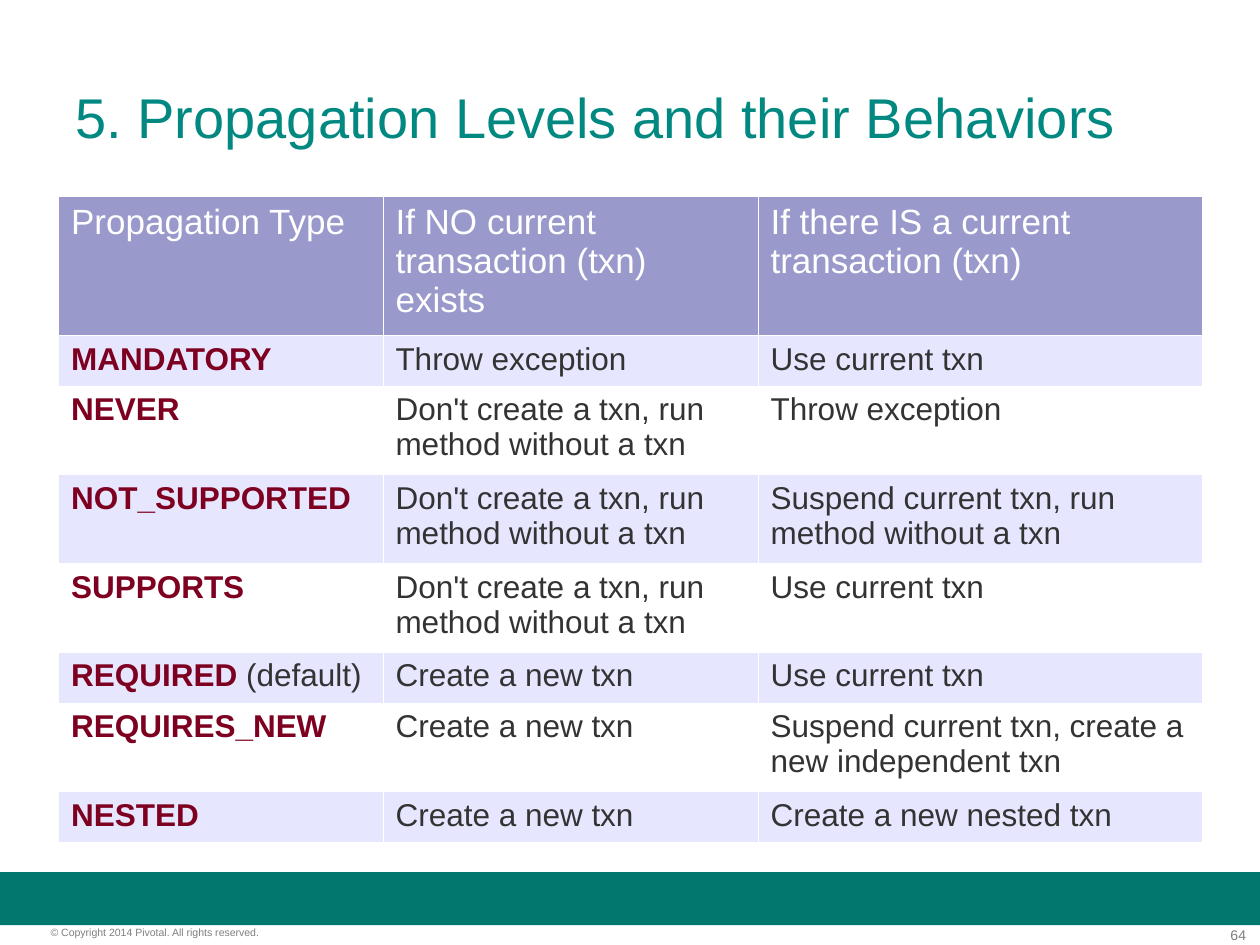
from lxml.etree import SubElement
from pptx import Presentation
from pptx.dml.color import RGBColor
from pptx.enum.shapes import MSO_SHAPE as Shape
from pptx.enum.text import MSO_ANCHOR as Anchor, PP_ALIGN as Align
from pptx.oxml.ns import qn
from pptx.util import Cm, Pt

TEAL_BAR, TEAL_TITLE, GREY = "00786E", "008881", "7F7F7F"
HEADER_FILL, BAND_FILL, WHITE = "9999CC", "E6E6FF", "FFFFFF"
HEADER_FORMAT = dict(size=Pt(20), bold=False, color=WHITE)
TYPE_FORMAT = dict(size=Pt(18), bold=True, color="7E0021")
BODY_FORMAT = dict(size=Pt(18), bold=False, color="333333")

NO_TXN = "Don't create a txn, run method without a txn"
NEW_TXN = "Create a new txn"
CURRENT_TXN = "Use current txn"
EXCEPTION = "Throw exception"
HEADINGS = ("Propagation Type", "If NO current transaction (txn) exists",
            "If there IS a current transaction (txn)")
# type, remark after the type, behavior without a txn, behavior with a txn
LEVELS = [
    ("MANDATORY", "", EXCEPTION, CURRENT_TXN),
    ("NEVER", "", NO_TXN, EXCEPTION),
    ("NOT_SUPPORTED", "", NO_TXN, "Suspend current txn, run method without a txn"),
    ("SUPPORTS", "", NO_TXN, CURRENT_TXN),
    ("REQUIRED", " (default)", NEW_TXN, CURRENT_TXN),
    ("REQUIRES_NEW", "", NEW_TXN, "Suspend current txn, create a new independent txn"),
    ("NESTED", "", NEW_TXN, "Create a new nested txn"),
]
COLUMN_WIDTHS = (6.54, 7.56, 8.96)
HEADER_HEIGHT, ONE_LINE, TWO_LINES = 2.79, 1.02, 1.79
WRAP_LENGTH = 30  # longer texts take two lines


def rgb(value):
    return RGBColor.from_string(value)


def add_run(paragraph, text, color, **font_format):
    run = paragraph.add_run()
    run.text = text
    for attribute, value in dict(font_format, name="Arial").items():
        setattr(run.font, attribute, value)
    run.font.color.rgb = rgb(color)


def set_frame(frame, margins, anchor):
    left_right, top_bottom = margins
    settings = dict(margin_left=left_right, margin_right=left_right,
                    margin_top=top_bottom, margin_bottom=top_bottom,
                    word_wrap=True, vertical_anchor=anchor)
    for attribute, value in settings.items():
        setattr(frame, attribute, value)


def place_title(slide, text, left, top, width, height):
    title = slide.shapes.title
    title.left, title.top, title.width, title.height = map(Cm, (left, top, width, height))
    set_frame(title.text_frame, (Cm(0.25), Cm(0.13)), Anchor.MIDDLE)
    paragraph = title.text_frame.paragraphs[0]
    paragraph.alignment = Align.LEFT
    add_run(paragraph, text, TEAL_TITLE, size=Pt(32))


def add_borders(cell):
    properties = cell._tc.get_or_add_tcPr()
    for side in ("a:lnL", "a:lnR", "a:lnT", "a:lnB"):
        line = SubElement(properties, qn(side), w=str(Pt(0.06)))
        fill = SubElement(line, qn("a:solidFill"))
        SubElement(fill, qn("a:srgbClr"), val=WHITE)


def fill_cell(cell, runs, fill):
    add_borders(cell)
    cell.fill.solid()
    cell.fill.fore_color.rgb = rgb(fill)
    for text, font_format in runs:
        add_run(cell.text_frame.paragraphs[0], text, **font_format)


def add_levels_table(slide, left, top):
    heights = [HEADER_HEIGHT] + [
        TWO_LINES if max(map(len, level[2:])) > WRAP_LENGTH else ONE_LINE
        for level in LEVELS]
    table = slide.shapes.add_table(
        len(heights), len(COLUMN_WIDTHS), Cm(left), Cm(top),
        Cm(sum(COLUMN_WIDTHS)), Cm(sum(heights))).table
    for column, width in zip(table.columns, COLUMN_WIDTHS):
        column.width = Cm(width)
    for row, height in zip(table.rows, heights):
        row.height = Cm(height)

    for column, heading in enumerate(HEADINGS):
        fill_cell(table.cell(0, column), [(heading, HEADER_FORMAT)], HEADER_FILL)
    for row, (level, remark, *behaviors) in enumerate(LEVELS, start=1):
        fill = BAND_FILL if row % 2 else WHITE
        type_runs = [(level, TYPE_FORMAT)]
        if remark:
            type_runs.append((remark, BODY_FORMAT))
        fill_cell(table.cell(row, 0), type_runs, fill)
        for column, behavior in enumerate(behaviors, start=1):
            fill_cell(table.cell(row, column), [(behavior, BODY_FORMAT)], fill)


def add_footer(slide, top, width):
    bar_height = 1.07
    bar = slide.shapes.add_shape(Shape.RECTANGLE, 0, Cm(top), Cm(width), Cm(bar_height))
    bar.shadow.inherit = False
    bar.fill.solid()
    bar.fill.fore_color.rgb = rgb(TEAL_BAR)
    bar.line.fill.background()
    notes = [
        ("© Copyright 2014 Pivotal. All rights reserved.", 1.02, 6.32, 0.25, 6, Align.LEFT),
        ("64", width - 1.75, 1.47, 0.33, 8, Align.RIGHT),
    ]
    for text, left, note_width, height, size, alignment in notes:
        note = slide.shapes.add_textbox(
            Cm(left), Cm(top + bar_height + 0.02), Cm(note_width), Cm(height))
        set_frame(note.text_frame, (0, 0), Anchor.TOP)
        paragraph = note.text_frame.paragraphs[0]
        paragraph.alignment = alignment
        add_run(paragraph, text, GREY, size=Pt(size))


def main():
    presentation = Presentation()
    presentation.slide_width, presentation.slide_height = Cm(25.4), Cm(19.05)
    slide = presentation.slides.add_slide(presentation.slide_layouts[5])
    add_footer(slide, top=17.58, width=25.4)
    place_title(slide, "5. Propagation Levels and their Behaviors", 1.27, 0.76, 22.86, 3.18)
    add_levels_table(slide, left=1.18, top=3.96)
    presentation.save("out.pptx")


if __name__ == "__main__":
    main()
